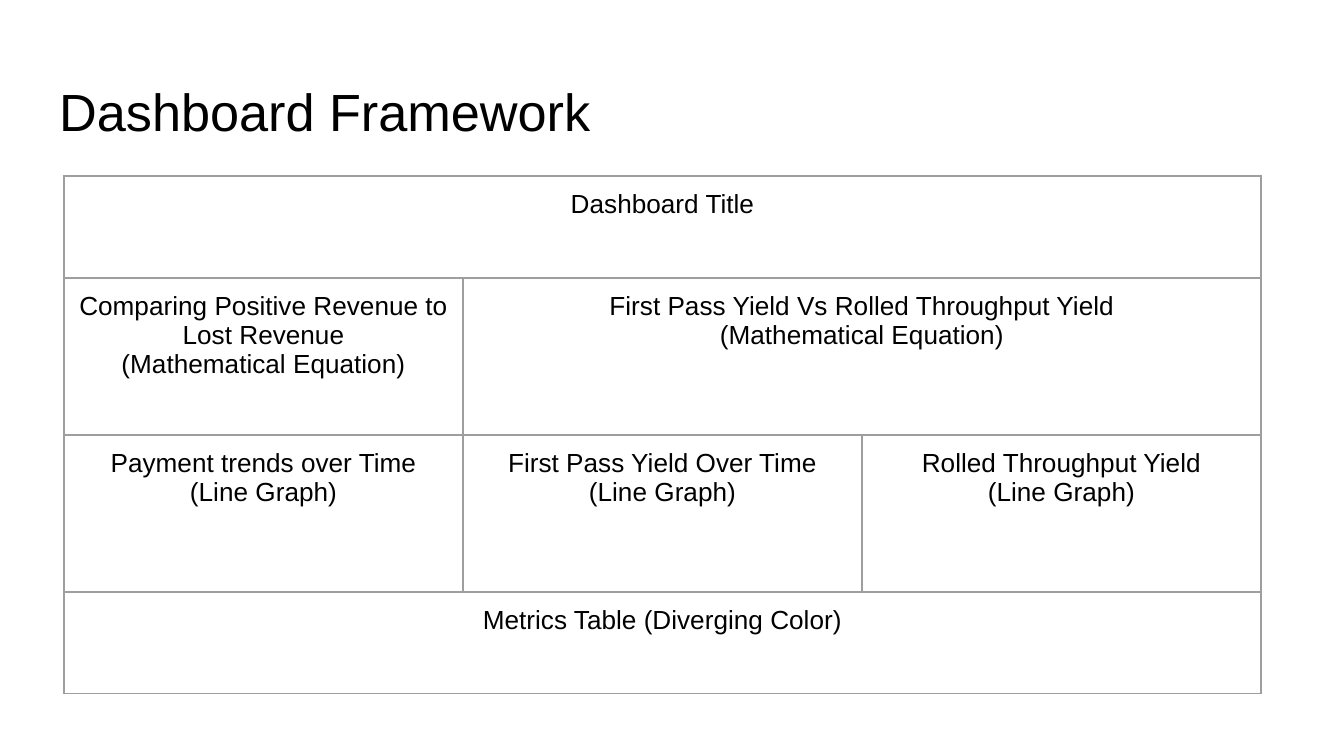
from lxml import etree
from pptx import Presentation
from pptx import util as u
from pptx.dml.color import RGBColor
from pptx.enum import text
from pptx.oxml.ns import qn

COLORS = {"ink": "000000", "grid": "9E9E9E"}
FONT = "Arial"
HEADING = "Dashboard Framework"
PANELS = [
    (0, 0, 3, ["Dashboard Title"]),
    (1, 0, 1, ["Comparing Positive Revenue to Lost Revenue", "(Mathematical Equation)"]),
    (1, 1, 2, ["First Pass Yield Vs Rolled Throughput Yield", "(Mathematical Equation)"]),
    (2, 0, 1, ["Payment trends over Time", "(Line Graph)"]),
    (2, 1, 1, ["First Pass Yield Over Time (Line Graph)"]),
    (2, 2, 1, ["Rolled Throughput Yield", "(Line Graph)"]),
    (3, 0, 3, ["Metrics Table (Diverging Color)"]),
]
ROW_HEIGHTS = [102, 157, 157, 102]
COLUMN_WIDTH, COLUMN_COUNT = 399, 3
INSET = u.Inches(0.1)


def px(n):
    return u.Emu(round(n * 914400 / 134.4))


def write(frame, lines, size, align):
    for i, line in enumerate(lines):
        paragraph = frame.paragraphs[0] if i == 0 else frame.add_paragraph()
        paragraph.alignment = align
        run = paragraph.add_run()
        run.text = line
        run.font.name = FONT
        run.font.size = u.Pt(size)
        run.font.color.rgb = RGBColor.from_string(COLORS["ink"])


def set_margins(holder):
    holder.margin_left = holder.margin_right = INSET
    holder.margin_top = holder.margin_bottom = INSET


def outline(cell):
    properties = cell._tc.get_or_add_tcPr()
    for i, side in enumerate(("lnL", "lnR", "lnT", "lnB")):
        line = etree.Element(qn("a:" + side), w=str(u.Pt(0.75)))
        fill = etree.SubElement(line, qn("a:solidFill"))
        etree.SubElement(fill, qn("a:srgbClr"), val=COLORS["grid"])
        properties.insert(i, line)


deck = Presentation()
deck.slide_width, deck.slide_height = px(1344), px(756)
slide = deck.slides.add_slide(deck.slide_layouts[6])

heading = slide.shapes.add_textbox(px(46), px(66), px(1252), px(84)).text_frame
heading.word_wrap = True
set_margins(heading)
write(heading, [HEADING], 28, text.PP_ALIGN.LEFT)

dashboard = slide.shapes.add_table(
    len(ROW_HEIGHTS), COLUMN_COUNT, px(64), px(176),
    px(COLUMN_WIDTH * COLUMN_COUNT), px(sum(ROW_HEIGHTS))).table
dashboard.first_row = dashboard.horz_banding = False
for column in dashboard.columns:
    column.width = px(COLUMN_WIDTH)
for row, height in zip(dashboard.rows, ROW_HEIGHTS):
    row.height = px(height)
for cell in dashboard.iter_cells():
    set_margins(cell)
    cell.fill.background()
    outline(cell)
for row, column, span, lines in PANELS:
    panel = dashboard.cell(row, column)
    if span > 1:
        panel.merge(dashboard.cell(row, column + span - 1))
    write(panel.text_frame, lines, 14, text.PP_ALIGN.CENTER)

deck.save("out.pptx")
